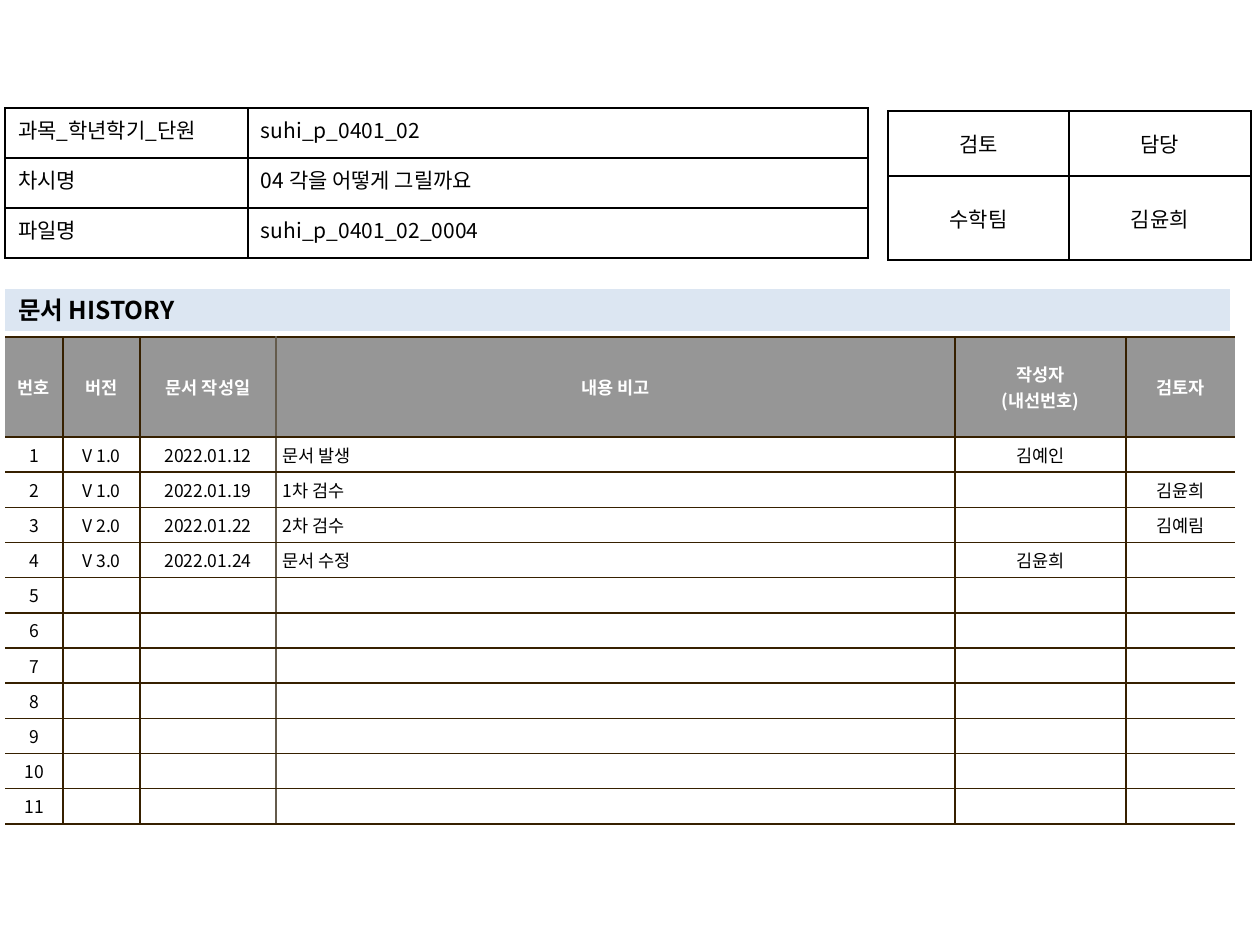
from dataclasses import dataclass
from typing import Optional

from lxml.etree import SubElement
from pptx import Presentation
from pptx.dml.color import RGBColor as RGB
from pptx.enum.text import MSO_ANCHOR as ANCHOR, MSO_AUTO_SIZE as AUTO, PP_ALIGN as ALIGN
from pptx.oxml.ns import qn
from pptx.util import Pt

SCALE = 914400 / 126


@dataclass(frozen=True)
class Theme:
    font: str = "Noto Sans CJK KR"
    text: str = "000000"
    light: str = "FFFFFF"
    header: str = "969696"
    band: str = "DCE6F2"
    rule: str = "362000"
    soft_rule: str = "645B4C"
    title_pt: int = 14
    form_pt: int = 12
    history_pt: int = 10


T = Theme()


@dataclass
class Grid:
    left: int
    top: int
    cols: list[int]
    rows: list[int]
    cells: list[list[str]]
    aligns: list[ALIGN]
    size: int
    line: str
    anchor: ANCHOR = ANCHOR.MIDDLE
    margins: tuple[int, int] = (13, 6)
    header: Optional[str] = None
    body: Optional[str] = None
    open_sides: bool = False
    soft_edge: Optional[int] = None


def px(n: int) -> int:
    return round(n * SCALE)


def assign(obj: object, values: dict) -> None:
    for name, value in values.items():
        setattr(obj, name, value)


def style_run(r, size: int, color: str, bold: bool) -> None:
    assign(r.font, {"name": T.font, "size": Pt(size), "bold": bold})
    r.font.color.rgb = RGB.from_string(color)
    SubElement(r.font._element, qn("a:ea"), typeface=T.font)


def write(tf, text: str, size: int, color: str, bold: bool, align: ALIGN) -> None:
    for i, line in enumerate(text.split("\n")):
        p = tf.add_paragraph() if i else tf.paragraphs[0]
        p.alignment = align
        if line:
            r = p.add_run()
            r.text = line
            style_run(r, size, color, bold)
        else:
            SubElement(p._p, qn("a:endParaRPr"), sz=str(size * 100))


def fill_cell(cell, color: Optional[str]) -> None:
    if color is None:
        cell.fill.background()
        return
    cell.fill.solid()
    cell.fill.fore_color.rgb = RGB.from_string(color)


def border_cell(cell, sides: dict[str, Optional[str]]) -> None:
    tc_pr = cell._tc.get_or_add_tcPr()
    for i, (side, color) in enumerate(sides.items()):
        ln = SubElement(tc_pr, qn(f"a:ln{side}"), w=str(Pt(1)))
        if color is None:
            SubElement(ln, qn("a:noFill"))
        else:
            SubElement(SubElement(ln, qn("a:solidFill")), qn("a:srgbClr"), val=color)
        tc_pr.insert(i, ln)


def edge_color(g: Grid, edge: int) -> Optional[str]:
    if g.open_sides and edge in (0, len(g.cols)):
        return None
    return T.soft_rule if edge == g.soft_edge else g.line


def draw_grid(s, g: Grid) -> None:
    frame = s.shapes.add_table(len(g.rows), len(g.cols), px(g.left), px(g.top),
                               px(sum(g.cols)), px(sum(g.rows)))
    table = frame.table
    assign(table, {"first_row": False, "horz_banding": False})
    for col, width in zip(table.columns, g.cols):
        col.width = px(width)
    for row, height in zip(table.rows, g.rows):
        row.height = px(height)
    mx, my = map(px, g.margins)
    for i, values in enumerate(g.cells):
        is_header = i == 0 and g.header is not None
        for j, text in enumerate(values):
            cell = table.cell(i, j)
            assign(cell, {"margin_left": mx, "margin_right": mx, "margin_top": my,
                          "margin_bottom": my, "vertical_anchor": g.anchor})
            fill_cell(cell, g.header if is_header else g.body)
            border_cell(cell, {"L": edge_color(g, j), "R": edge_color(g, j + 1),
                               "T": g.line, "B": g.line})
            write(cell.text_frame, text, g.size, T.light if is_header else T.text,
                  is_header, ALIGN.CENTER if is_header else g.aligns[j])


def draw_title(s, text: str) -> None:
    sp = s.shapes.title
    assign(sp, {"left": px(5), "top": px(289), "width": px(1225), "height": px(42)})
    sp.fill.solid()
    sp.fill.fore_color.rgb = RGB.from_string(T.band)
    tf = sp.text_frame
    assign(tf, {"auto_size": AUTO.NONE, "word_wrap": True, "vertical_anchor": ANCHOR.MIDDLE,
                "margin_left": px(13), "margin_right": px(13),
                "margin_top": px(6), "margin_bottom": px(6)})
    write(tf, text, T.title_pt, T.text, True, ALIGN.LEFT)


HEADINGS = ["번호", "버전", "문서 작성일", "내용 비고", "작성자\n(내선번호)", "검토자"]
ENTRIES = [
    ["V 1.0", "2022.01.12", "문서 발생", "김예인", ""],
    ["V 1.0", "2022.01.19", "1차 검수", "", "김윤희"],
    ["V 2.0", "2022.01.22", "2차 검수", "", "김예림"],
    ["V 3.0", "2022.01.24", "문서 수정", "김윤희", ""],
]
ROW_COUNT = 11
ENTRIES += [[""] * 5] * (ROW_COUNT - len(ENTRIES))

HISTORY = Grid(
    5, 337, [58, 77, 136, 679, 171, 109], [100] + [35] * ROW_COUNT,
    [HEADINGS] + [[str(n), *entry] for n, entry in enumerate(ENTRIES, 1)],
    [ALIGN.CENTER] * 3 + [ALIGN.LEFT] + [ALIGN.CENTER] * 2, T.history_pt, T.rule,
    margins=(7, 5), header=T.header, body=T.light, open_sides=True, soft_edge=3)
APPROVAL = Grid(
    888, 111, [181, 182], [65, 84], [["검토", "담당"], ["수학팀", "김윤희"]],
    [ALIGN.CENTER] * 2, T.form_pt, T.text)
DOCUMENT = Grid(
    5, 108, [243, 620], [50] * 3,
    [["과목_학년학기_단원", "suhi_p_0401_02"],
     ["차시명", "04 각을 어떻게 그릴까요"],
     ["파일명", "suhi_p_0401_02_0004"]],
    [ALIGN.JUSTIFY, ALIGN.LEFT], T.form_pt, T.text, anchor=ANCHOR.TOP)


def main() -> None:
    prs = Presentation()
    assign(prs, {"slide_width": px(1260), "slide_height": px(945)})
    s = prs.slides.add_slide(prs.slide_layouts[5])
    draw_title(s, "문서 HISTORY")
    for grid in (HISTORY, APPROVAL, DOCUMENT):
        draw_grid(s, grid)
    prs.save("out.pptx")


if __name__ == "__main__":
    main()
